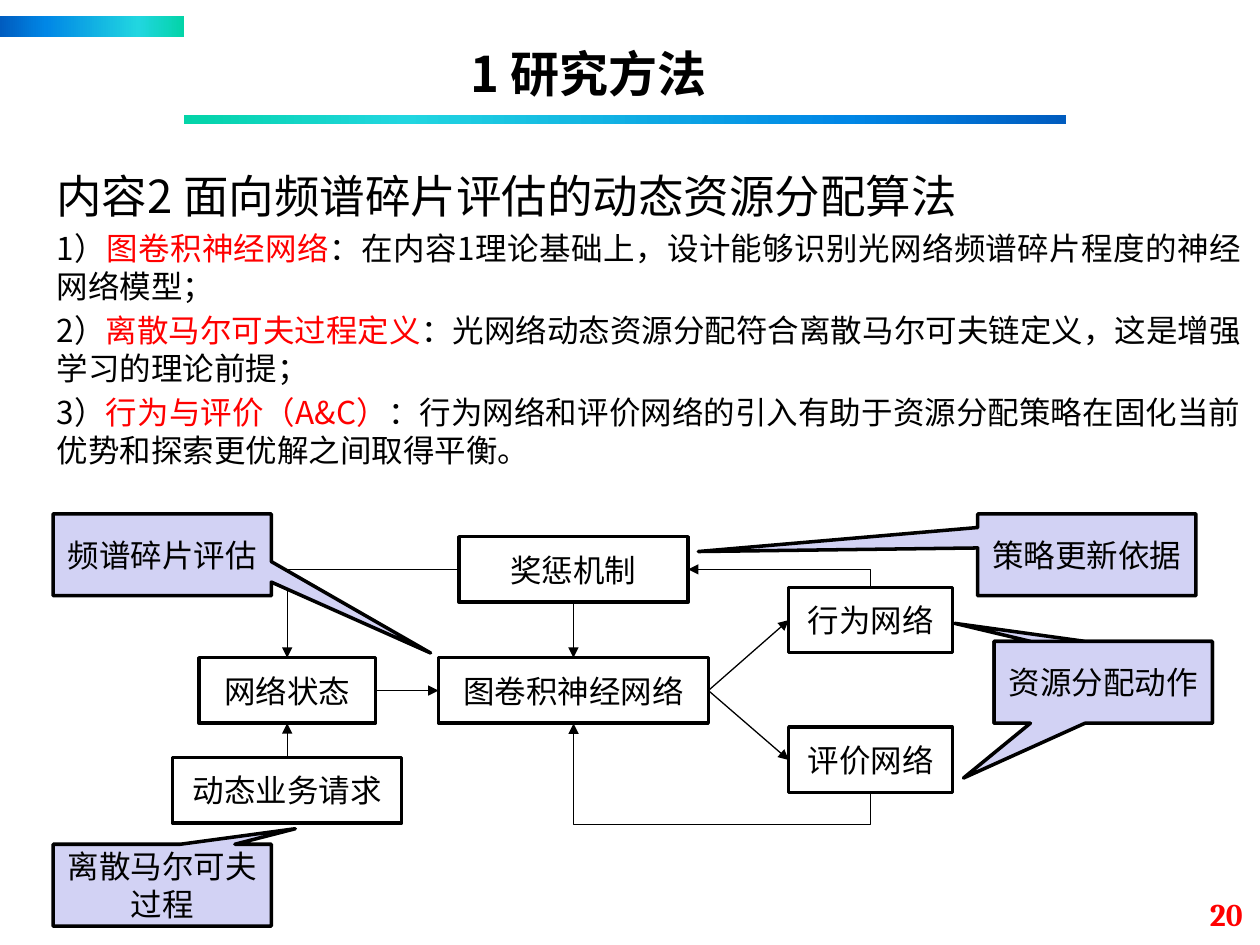
from lxml import etree
from pptx import Presentation
from pptx.dml.color import RGBColor
from pptx.enum.shapes import MSO_CONNECTOR, MSO_SHAPE
from pptx.enum.text import MSO_ANCHOR, PP_ALIGN
from pptx.oxml import parse_xml
from pptx.oxml.ns import nsdecls, qn
from pptx.util import Cm, Pt

RECT, WEDGE = MSO_SHAPE.RECTANGLE, MSO_SHAPE.RECTANGULAR_CALLOUT
LINE, ELBOW = MSO_CONNECTOR.STRAIGHT, MSO_CONNECTOR.ELBOW
FULL, MID, RIGHT = PP_ALIGN.JUSTIFY, PP_ALIGN.CENTER, PP_ALIGN.RIGHT
TOP, CENTER = MSO_ANCHOR.TOP, MSO_ANCHOR.MIDDLE
SANS, SERIF = "Noto Sans CJK SC", "Cambria"
HUES = {"ink": "000000", "red": "FF0000", "note": "D2D2F4"}
BLEND = {0: "03D4A8", 25: "21D6E0", 75: "0087E6", 100: "005CBF"}
NORTH, WEST, SOUTH, EAST = range(4)


class Board:
    """Holds the style and the current slide, and draws each kind of element."""

    def __init__(self, slide):
        self.slide = slide
        self.shapes = slide.shapes

    def hue(self, name):
        return RGBColor.from_string(HUES[name])

    def fill_runs(self, para, parts, size, font, bold=False):
        for text, name in parts:
            run = para.add_run()
            run.text = text
            face = run.font
            face.size, face.name, face.bold = Pt(size), font, bold
            face.color.rgb = self.hue(name)
            east = etree.SubElement(run._r.get_or_add_rPr(), qn("a:ea"))
            east.set("typeface", SANS)

    def text(self, x, y, w, h, rows, font, align, anchor=TOP, bold=False):
        frame = self.shapes.add_textbox(Cm(x), Cm(y), Cm(w), Cm(h)).text_frame
        frame.word_wrap = True
        frame.vertical_anchor = anchor
        for i, (size, space, parts) in enumerate(rows):
            para = frame.add_paragraph() if i else frame.paragraphs[0]
            para.alignment = align
            para.line_spacing = space
            if i:
                para.space_before = Pt(size * 0.2)
            self.fill_runs(para, parts, size, font, bold)

    def bar(self, x, y, w, h, stops):
        shape = self.shapes.add_shape(RECT, Cm(x), Cm(y), Cm(w), Cm(h))
        shape.shadow.inherit = False
        shape.line.fill.background()
        marks = "".join(
            f'<a:gs pos="{pos * 1000}"><a:srgbClr val="{code}"/></a:gs>'
            for pos, code in stops)
        shape._element.spPr.find(qn("a:prstGeom")).addnext(parse_xml(
            f'<a:gradFill {nsdecls("a")} rotWithShape="1"><a:gsLst>{marks}'
            '</a:gsLst><a:lin ang="0" scaled="0"/></a:gradFill>'))

    def frame(self, kind, x, y, w, h, text, fill=None):
        shape = self.shapes.add_shape(kind, Cm(x), Cm(y), Cm(w), Cm(h))
        shape.shadow.inherit = False
        if fill:
            shape.fill.solid()
            shape.fill.fore_color.rgb = self.hue(fill)
        else:
            shape.fill.background()
        shape.line.color.rgb = self.hue("ink")
        shape.line.width = Pt(2)
        body = shape.text_frame
        body.word_wrap = True
        body.vertical_anchor = CENTER
        body.paragraphs[0].alignment = MID
        if text:
            self.fill_runs(body.paragraphs[0], [(text, "ink")], 18, SERIF)
        return shape

    def box(self, text, x, y, w):
        return self.frame(RECT, x - w / 2, y - 0.66, w, 1.32, text)

    def note(self, text, x, y, tip):
        shape = self.frame(WEDGE, x, y, 4.4, 1.65, text, "note")
        shape.adjustments[0], shape.adjustments[1] = tip

    def arrow(self, wire):
        wire.line.color.rgb = self.hue("ink")
        wire.line.width = Pt(0.75)
        tail = etree.SubElement(wire.line._get_or_add_ln(), qn("a:tailEnd"))
        tail.set("type", "triangle")
        etree.SubElement(wire._element.spPr, qn("a:effectLst"))

    def link(self, start, out, end, into):
        wire = self.shapes.add_connector(LINE, 0, 0, 0, 0)
        wire.begin_connect(start, out)
        wire.end_connect(end, into)
        self.arrow(wire)

    def bend(self, x, y, w, h, turn, flip, kind, bias=None):
        wire = self.shapes.add_connector(ELBOW, Cm(x), Cm(y), Cm(x + w), Cm(y + h))
        place = wire._element.spPr.find(qn("a:xfrm"))
        place.set("rot", str(turn * 60000))
        place.set(flip, "1")
        form = wire._element.spPr.find(qn("a:prstGeom"))
        form.set("prst", kind)
        if bias is not None:
            guide = etree.SubElement(form.find(qn("a:avLst")), qn("a:gd"))
            guide.set("name", "adj1")
            guide.set("fmla", f"val {bias}")
        self.arrow(wire)


def main():
    deck = Presentation()
    deck.slide_width, deck.slide_height = Cm(25.4), Cm(19.05)
    board = Board(deck.slides.add_slide(deck.slide_layouts[6]))

    board.bar(3.71, 2.31, 17.78, 0.2, BLEND.items())
    board.bar(0, 0.33, 3.71, 0.41, [(100 - p, c) for p, c in reversed(BLEND.items())])
    board.text(1.07, 0.53, 21.59, 1.88, [(28, 1, [("1 研究方法", "ink")])],
               SANS, MID, CENTER, True)
    points = [
        ("图卷积神经网络", "：在内容1理论基础上，设计能够识别光网络频谱碎片程度的神经网络模型；"),
        ("离散马尔可夫过程定义", "：光网络动态资源分配符合离散马尔可夫链定义，这是增强学习的理论前提；"),
        ("行为与评价（A&C）", "：行为网络和评价网络的引入有助于资源分配策略在固化当前优势和探索更优解之间取得平衡。"),
    ]
    rows = [(26, 1.5, [("内容2 面向频谱碎片评估的动态资源分配算法", "ink")])]
    rows += [(18, 1, [(f"{i}）", "ink"), (key, "red"), (rest, "ink")])
             for i, (key, rest) in enumerate(points, 1)]
    board.text(0.89, 2.72, 24.38, 5.21, rows, SANS, FULL)
    board.text(23.6, 17.91, 1.7, 1.07, [(18, 1, [("20", "red")])],
               SERIF, RIGHT, bold=True)

    graph = board.box("图卷积神经网络", 11.56, 13.92, 5.44)
    state = board.box("网络状态", 5.79, 13.92, 3.56)
    call = board.box("动态业务请求", 5.79, 15.93, 4.62)
    actor = board.box("行为网络", 17.55, 12.5, 3.3)
    judge = board.box("评价网络", 17.55, 15.32, 3.3)
    prize = board.box("奖惩机制", 11.56, 11.48, 4.62)

    for ends in [(state, EAST, graph, WEST), (graph, EAST, actor, WEST),
                 (graph, EAST, judge, WEST), (call, NORTH, state, SOUTH),
                 (prize, SOUTH, graph, NORTH)]:
        board.link(*ends)
    board.bend(15.53, 9.82, 0.36, 3.68, 270, "flipV", "bentConnector2")
    board.bend(5.79, 11.48, 3.46, 1.78, 180, "flipV", "bentConnector2")
    board.bend(13.86, 12.29, 1.4, 5.99, 90, "flipH", "bentConnector3", -45500)

    for item in [("频谱碎片评估", 1.07, 10.36, (1.23, 1.2)),
                 ("离散马尔可夫过程", 1.07, 17.02, (0.61, -0.69)),
                 ("", 20.04, 12.93, (-0.68, -0.72)),
                 ("资源分配动作", 20.04, 12.93, (-0.64, 1.17)),
                 ("策略更新依据", 19.71, 10.36, (-1.78, -0.04))]:
        board.note(*item)
    deck.save("out.pptx")


if __name__ == "__main__":
    main()
